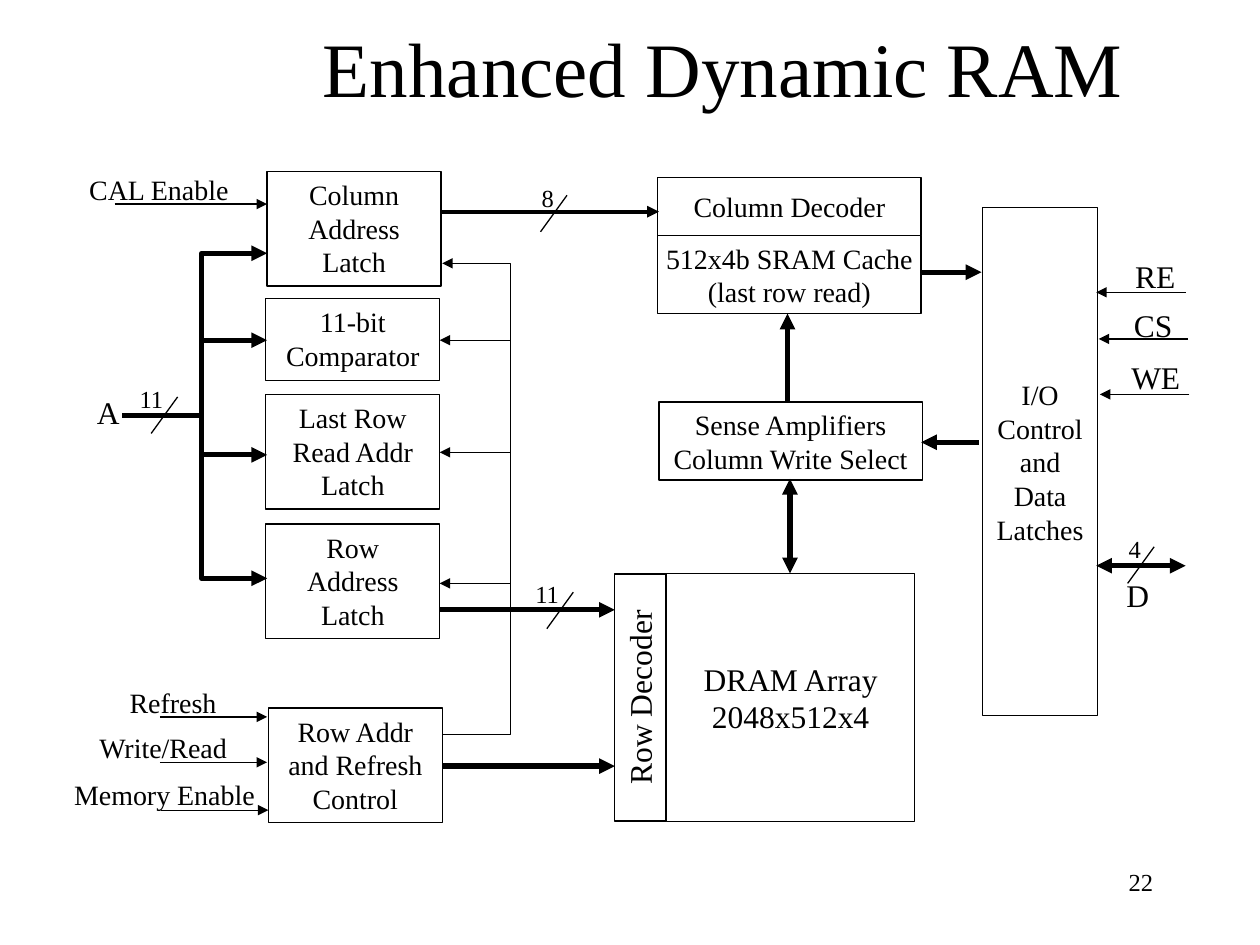
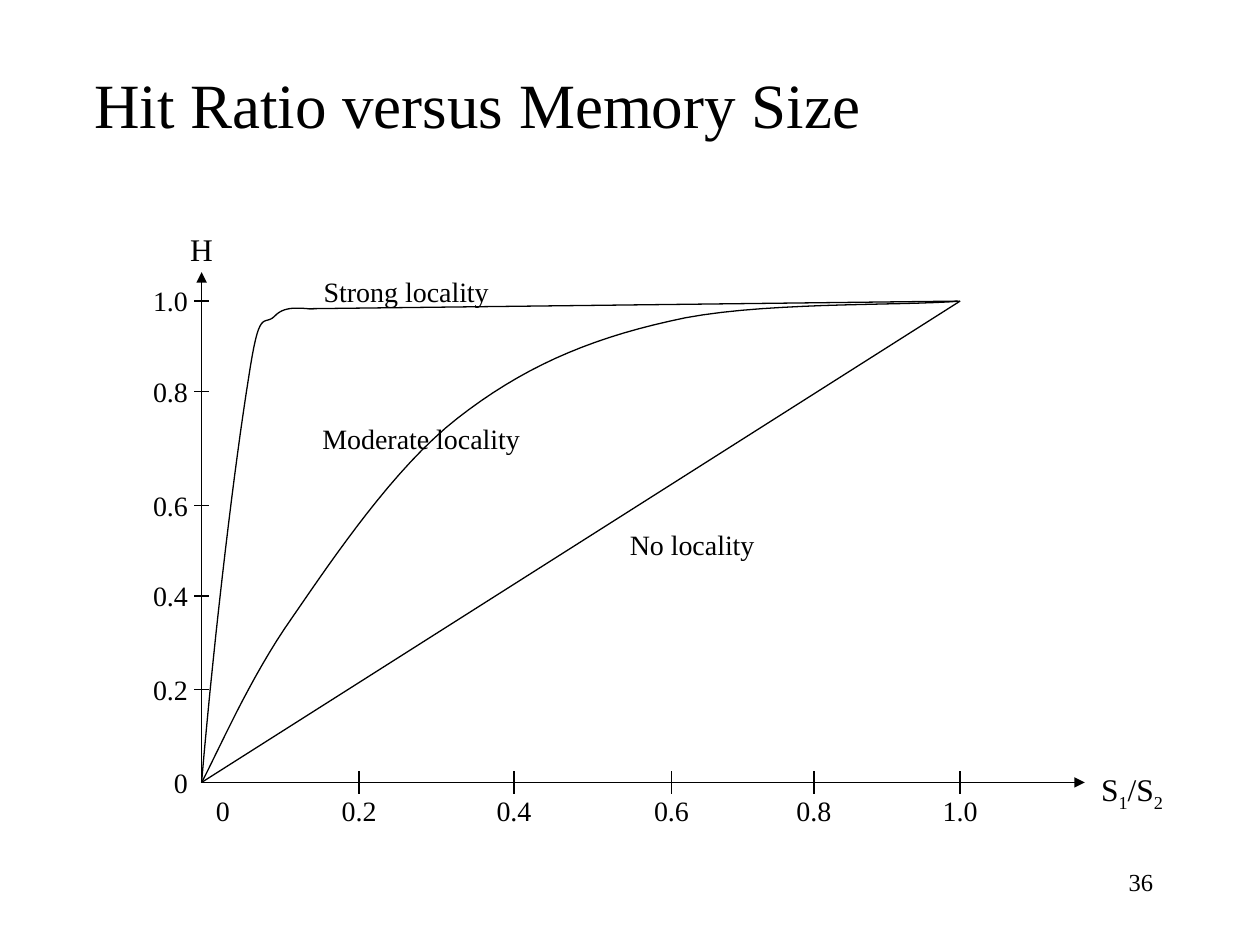
from dataclasses import dataclass
from typing import Any

import lxml.etree
import pptx
import pptx.dml.color
import pptx.enum.shapes
import pptx.enum.text
import pptx.oxml.ns
import pptx.util

BLACK = pptx.dml.color.RGBColor(0x00, 0x00, 0x00)
WHITE = pptx.dml.color.RGBColor(0xFF, 0xFF, 0xFF)
FONT = "Times New Roman"
CM_PER_INCH = 2.54
THIN, MEDIUM, THICK = 0.75, 2.25, 3
LINE_HEIGHTS = {14: 0.33, 16: 0.37, 18: 0.4}
CURVE_STEPS = 16
LEFT = pptx.enum.text.PP_ALIGN.LEFT
CENTER = pptx.enum.text.PP_ALIGN.CENTER
RIGHT = pptx.enum.text.PP_ALIGN.RIGHT
TOP = pptx.enum.text.MSO_ANCHOR.TOP
MIDDLE = pptx.enum.text.MSO_ANCHOR.MIDDLE

Point = tuple[float, float]


@dataclass
class Block:
    text: str
    left: float
    top: float
    width: float
    height: float
    size: int = 16
    middle: bool = False
    rotation: int = 0


@dataclass
class Label:
    text: str
    left: float
    top: float
    width: float
    size: int = 16


@dataclass
class Wire:
    start: Point
    end: Point
    weight: float = THIN
    head: bool = False
    tail: bool = True


@dataclass
class BusWidth:
    text: str
    left: float
    top: float
    width: float


def length(inches: float) -> int:
    return pptx.util.Cm(inches * CM_PER_INCH)


def apply_format(target: Any, values: dict[str, Any]) -> None:
    for name, value in values.items():
        setattr(target, name, value)


def add_span(para: Any, text: str, size: int, baseline: int = 0) -> None:
    span = para.add_run()
    span.text = text
    apply_format(span.font, {"name": FONT, "size": pptx.util.Pt(size)})
    span.font.color.rgb = BLACK
    if baseline:
        span.font._element.set("baseline", str(baseline * 1000))


def fill_text(box: Any, text: str, size: int, align: Any, anchor: Any, wrap: bool) -> None:
    frame = box.text_frame
    apply_format(frame, {"word_wrap": wrap, "vertical_anchor": anchor})
    for index, line in enumerate(text.split("\n")):
        para = frame.add_paragraph() if index else frame.paragraphs[0]
        para.alignment = align
        add_span(para, line, size)


def add_text(page: Any, left: float, top: float, width: float, height: float, text: str,
             size: int, align: Any = LEFT, anchor: Any = TOP, wrap: bool = True) -> None:
    box = page.shapes.add_textbox(*map(length, (left, top, width, height)))
    fill_text(box, text, size, align, anchor, wrap)


def add_label(page: Any, label: Label) -> None:
    add_text(page, label.left, label.top, label.width, LINE_HEIGHTS[label.size],
             label.text, label.size, wrap=False)


def style_line(shape: Any, weight: float, head: bool, tail: bool) -> None:
    shape.line.color.rgb = BLACK
    shape.line.width = pptx.util.Pt(weight)
    outline = shape._element.spPr.find(pptx.oxml.ns.qn("a:ln"))
    for tag, wanted in (("a:headEnd", head), ("a:tailEnd", tail)):
        if wanted:
            lxml.etree.SubElement(outline, pptx.oxml.ns.qn(tag), type="triangle")


def add_block(page: Any, block: Block) -> None:
    kind = pptx.enum.shapes.MSO_SHAPE.RECTANGLE
    frame = map(length, (block.left, block.top, block.width, block.height))
    box = page.shapes.add_shape(kind, *frame)
    box.rotation = block.rotation
    box.fill.background()
    box.shadow.inherit = False
    style_line(box, THIN, False, False)
    fill_text(box, block.text, block.size, CENTER, MIDDLE if block.middle else TOP,
              not block.middle)


def add_wire(page: Any, wire: Wire) -> None:
    kind = pptx.enum.shapes.MSO_CONNECTOR.STRAIGHT
    line = page.shapes.add_connector(kind, *map(length, (*wire.start, *wire.end)))
    style_line(line, wire.weight, wire.head, wire.tail)
    lxml.etree.SubElement(line._element.spPr, pptx.oxml.ns.qn("a:effectLst"))


def add_polyline(page: Any, points: list[Point], weight: float = THIN,
                 head: bool = False, tail: bool = False) -> None:
    corners = [(length(x), length(y)) for x, y in points]
    builder = page.shapes.build_freeform(*corners[0])
    builder.add_line_segments(corners[1:], close=False)
    outline = builder.convert_to_shape()
    outline.fill.background()
    outline.shadow.inherit = False
    style_line(outline, weight, head, tail)


def add_curve(page: Any, knots: list[Point]) -> None:
    points = [knots[0]]
    for first in range(0, len(knots) - 1, 3):
        segment = knots[first:first + 4]
        for step in range(1, CURVE_STEPS + 1):
            t = step / CURVE_STEPS
            weights = ((1 - t) ** 3, 3 * t * (1 - t) ** 2, 3 * t ** 2 * (1 - t), t ** 3)
            points.append((sum(w * x for w, (x, _) in zip(weights, segment)),
                           sum(w * y for w, (_, y) in zip(weights, segment))))
    add_polyline(page, points)


def add_bus_width(page: Any, bus: BusWidth) -> None:
    add_wire(page, Wire((bus.left, bus.top), (bus.left - 0.21, bus.top + 0.29), tail=False))
    add_label(page, Label(bus.text, bus.left - bus.width, bus.top - 0.15, bus.width, 14))


def add_page(deck: Any, number: int) -> Any:
    page = deck.slides.add_slide(deck.slide_layouts[6])
    page.background.fill.solid()
    page.background.fill.fore_color.rgb = WHITE
    add_text(page, 7.17, 6.83, 2.08, 0.5, str(number), 14, RIGHT)
    return page


def add_title(page: Any, text: str, left: float, top: float, width: float,
              size: int, align: Any) -> None:
    add_text(page, left, top, width, 1.06, text, size, align, MIDDLE)


def build_memory_page(deck: Any) -> None:
    page = add_page(deck, 22)
    add_title(page, "Enhanced Dynamic RAM", 1.49, 0, 8.5, 44, CENTER)

    blocks = [
        Block("Column\nAddress\nLatch", 2.12, 1.36, 1.38, 0.91),
        Block("11-bit\nComparator", 2.11, 2.37, 1.38, 0.65),
        Block("Last Row\nRead Addr\nLatch", 2.11, 3.13, 1.38, 0.91),
        Block("Row\nAddress\nLatch", 2.11, 4.16, 1.38, 0.91),
        Block("Row Addr\nand Refresh Control", 2.13, 5.62, 1.38, 0.91),
        Block("Row Decoder", 4.1, 5.33, 1.96, 0.41, size=18, rotation=270),
        Block("DRAM Array\n2048x512x4", 5.29, 4.55, 1.97, 1.97, size=18, middle=True),
        Block("Sense Amplifiers\nColumn Write Select", 5.23, 3.19, 2.09, 0.62, middle=True),
        Block("512x4b SRAM Cache\n(last row read)", 5.22, 1.87, 2.09, 0.62, middle=True),
        Block("Column Decoder", 5.22, 1.41, 2.09, 0.46, middle=True),
        Block("I/O\nControl\nand\nData\nLatches", 7.8, 1.65, 0.91, 4.03, middle=True),
    ]
    for block in blocks:
        add_block(page, block)

    address_x, control_x = 1.6, 4.05
    add_polyline(page, [(2.12, 2.01), (address_x, 2.01), (address_x, 4.59), (2.12, 4.59)],
                 THICK, head=True, tail=True)
    add_polyline(page, [(3.51, 5.83), (control_x, 5.83), (control_x, 2.09), (3.51, 2.09)],
                 tail=True)

    wires = [Wire((address_x, y), (2.12, y), THICK) for y in (2.7, 3.61)]
    wires += [Wire((control_x, y), (3.49, y)) for y in (2.7, 3.59, 4.63)]
    wires += [Wire((x, y), (x + 0.85, y)) for x, y in ((1.27, 5.69), (1.27, 6.05), (1.28, 6.43))]
    wires += [Wire((x, y), (x - 0.71, y)) for x, y in ((9.41, 2.32), (9.43, 2.69), (9.44, 3.13))]
    wires += [
        Wire((0.91, 1.62), (2.12, 1.62)),
        Wire((0.97, 3.3), (address_x, 3.3), THICK, tail=False),
        Wire((3.51, 6.08), (4.88, 6.08), THICK),
        Wire((3.49, 4.84), (4.88, 4.84), THICK),
        Wire((3.51, 1.68), (5.23, 1.68), MEDIUM),
        Wire((6.25, 3.19), (6.25, 2.49), THICK),
        Wire((6.27, 3.8), (6.27, 4.55), THICK, head=True),
        Wire((7.31, 2.16), (7.79, 2.16), THICK),
        Wire((7.77, 3.51), (7.31, 3.51), THICK),
        Wire((9.41, 4.49), (8.7, 4.49), THICK, head=True),
    ]
    for wire in wires:
        add_wire(page, wire)

    labels = [
        Label("CAL Enable", 0.61, 1.32, 1.32),
        Label("Refresh", 0.93, 5.39, 0.89),
        Label("Write/Read", 0.69, 5.75, 1.23),
        Label("Memory Enable", 0.49, 6.12, 1.64),
        Label("A", 0.67, 3.07, 0.38, 18),
        Label("RE", 8.91, 1.99, 0.52, 18),
        Label("CS", 8.9, 2.38, 0.51, 18),
        Label("WE", 8.88, 2.79, 0.59, 18),
        Label("D", 8.84, 4.52, 0.38, 18),
    ]
    for label in labels:
        add_label(page, label)

    for bus in (BusWidth("11", 1.41, 3.15, 0.4), BusWidth("11", 4.55, 4.7, 0.4),
                BusWidth("8", 4.5, 1.55, 0.3), BusWidth("4", 9.16, 4.34, 0.3)):
        add_bus_width(page, bus)


def build_ratio_page(deck: Any) -> None:
    page = add_page(deck, 36)
    add_title(page, "Hit Ratio versus Memory Size", 0.65, 0.29, 8.02, 36, LEFT)

    origin_x, origin_y = 1.6, 6.21
    end_x, end_y = 7.62, 2.39
    add_polyline(page, [(origin_x, 2.16), (origin_x, origin_y), (8.61, origin_y)],
                 head=True, tail=True)

    names = ["0", "0.2", "0.4", "0.6", "0.8", "1.0"]
    label_height = LINE_HEIGHTS[16]
    for name, y in zip(names, (origin_y, 5.47, 4.73, 4.01, 3.11, end_y)):
        add_text(page, 0.99, y - label_height / 2, 0.6, label_height, name, 16, RIGHT)
        if y != origin_y:
            add_wire(page, Wire((origin_x - 0.06, y), (origin_x + 0.06, y), tail=False))
    for name, x in zip(names, (1.77, 2.85, 4.08, 5.33, 6.46, end_x)):
        add_text(page, x - 0.3, 6.25, 0.6, label_height, name, 16, CENTER)
        if name != "0":
            add_wire(page, Wire((x, origin_y - 0.09), (x, origin_y + 0.09), tail=False))

    add_wire(page, Wire((origin_x, origin_y), (end_x, end_y), tail=False))
    add_curve(page, [(origin_x, origin_y), (1.72, 5.99), (1.98, 5.38), (2.32, 4.9),
                     (2.65, 4.42), (3.13, 3.71), (3.63, 3.32),
                     (4.13, 2.93), (4.64, 2.7), (5.31, 2.55),
                     (5.97, 2.39), (7.14, 2.43), (end_x, end_y)])
    add_curve(page, [(origin_x, origin_y), (1.71, 4.93), (1.87, 3.64), (1.97, 3.02),
                     (2.06, 2.41), (2.09, 2.6), (2.18, 2.51),
                     (2.27, 2.41), (2.43, 2.46), (2.49, 2.45)])
    add_wire(page, Wire((2.45, 2.45), (7.6, end_y), tail=False))

    for label in (Label("H", 1.41, 1.78, 0.38, 18),
                  Label("Strong locality", 2.47, 2.13, 1.52),
                  Label("Moderate locality", 2.46, 3.3, 1.78),
                  Label("No locality", 4.9, 4.14, 1.2)):
        add_label(page, label)

    axis_name = page.shapes.add_textbox(*map(length, (8.64, 6.06, 0.72, 0.4)))
    axis_name.text_frame.word_wrap = False
    para = axis_name.text_frame.paragraphs[0]
    for text, baseline in (("S", 0), ("1", -25), ("/S", 0), ("2", -25)):
        add_span(para, text, 18, baseline)


def main() -> None:
    deck = pptx.Presentation()
    apply_format(deck, {"slide_width": length(10), "slide_height": length(7.5)})
    build_memory_page(deck)
    build_ratio_page(deck)
    deck.save("out.pptx")


main()
